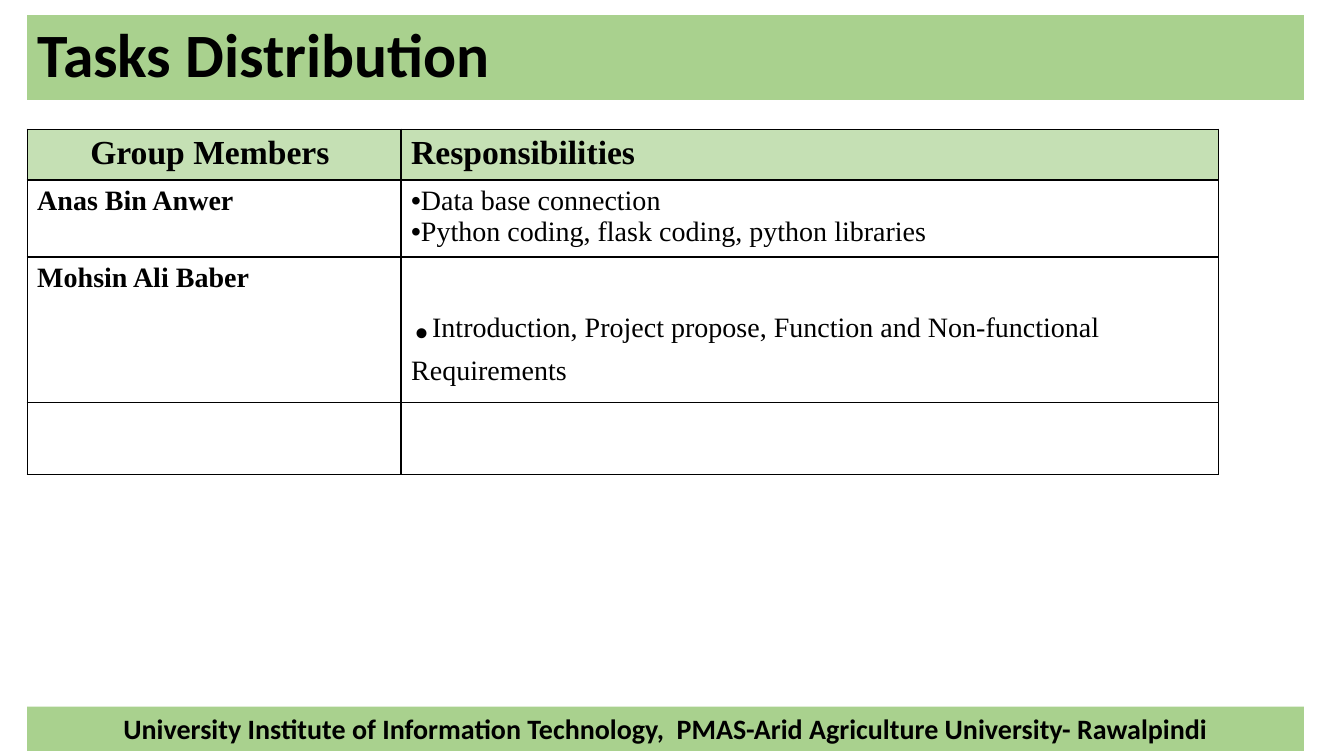
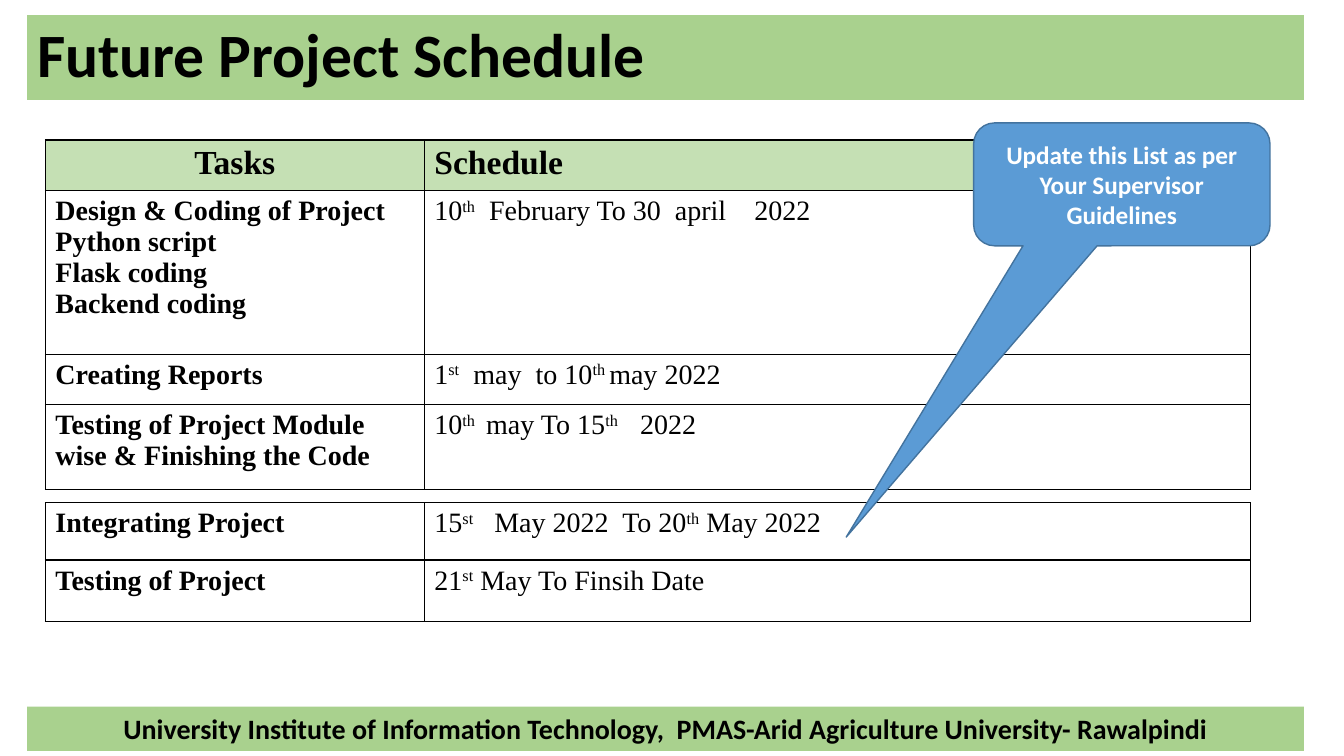
"""Build the task distribution and project schedule slides."""
from dataclasses import dataclass

from lxml.etree import SubElement
from pptx import Presentation
from pptx.dml.color import RGBColor
from pptx.enum.shapes import MSO_SHAPE as Preset
from pptx.enum.text import MSO_ANCHOR as Anchor, MSO_AUTO_SIZE as AutoSize, PP_ALIGN as Align
from pptx.oxml.ns import qn
from pptx.presentation import Presentation as Deck
from pptx.shapes.autoshape import Shape
from pptx.slide import Slide
from pptx.table import _Cell as Cell
from pptx.text.text import _Paragraph as Paragraph
from pptx.util import Pt

BLACK = RGBColor(0x00, 0x00, 0x00)
WHITE = RGBColor(0xFF, 0xFF, 0xFF)
BAND_GREEN = RGBColor(0xA9, 0xD1, 0x8E)
HEADER_GREEN = RGBColor(0xC5, 0xE0, 0xB4)
CALLOUT_BLUE = RGBColor(0x5B, 0x9B, 0xD5)
CALLOUT_EDGE = RGBColor(0x43, 0x73, 0x9E)

SANS = "Calibri"
SERIF = "Times New Roman"
BAND_LEFT, BAND_WIDTH = 19.4, 912
FOOTER = "University Institute of Information Technology,  PMAS-Arid Agriculture University- Rawalpindi"


@dataclass(frozen=True)
class Run:
    text: str
    size: float = 20
    bold: bool = False
    superscript: bool = False


@dataclass(frozen=True)
class Line:
    runs: tuple[Run, ...]
    centered: bool = False
    bullet: bool = False


@dataclass(frozen=True)
class Row:
    height: float
    cells: tuple[tuple[Line, ...], ...]
    header: bool = False


@dataclass(frozen=True)
class Grid:
    left: float
    top: float
    widths: tuple[float, ...]
    rows: tuple[Row, ...]


def header(height: float, first: str, second: str) -> Row:
    first_line = Line((Run(first, 24, True),), centered=True)
    return Row(height, ((first_line,), (Line((Run(second, 24, True),)),)), True)


def labels(*texts: str) -> tuple[Line, ...]:
    return tuple(Line((Run(text, bold=True),)) for text in texts)


def bullets(*texts: str) -> tuple[Line, ...]:
    return tuple(Line((Run(text),), bullet=True) for text in texts)


def dates(*parts: str) -> tuple[Line, ...]:
    return (Line(tuple(Run(part, superscript=index % 2 == 1) for index, part in enumerate(parts))),)


TASKS_GRID = Grid(19.4, 92.2, (267.1, 583.9), (
    header(36.4, "Group Members ", "Responsibilities"),
    Row(55, (labels("Anas Bin Anwer"),
             bullets("Data base connection", "Python coding, flask coding, python libraries"))),
    Row(104, (labels("Mohsin Ali Baber"), (Line((
        Run(".", 60),
        Run("Introduction, Project propose, Function and Non-functional Requirements"))),))),
    Row(51.2, ((), ())),
))

SCHEDULE_LEFT, SCHEDULE_WIDTHS = 32.4, (270.7, 590.2)
SCHEDULE_GRIDS = tuple(Grid(SCHEDULE_LEFT, top, SCHEDULE_WIDTHS, rows) for top, rows in (
    (100, (
        header(36, "Tasks", "Schedule"),
        Row(117, (labels("Design & Coding of Project", "Python script", "Flask coding", "Backend coding"),
                  dates("10", "th", "  February To 30  april    2022"))),
        Row(36, (labels("Creating Reports"), dates("1", "st", "  may  to 10", "th ", "may 2022"))),
        Row(60.5, (labels("Testing of Project Module wise & Finishing the Code"),
                   dates("10", "th ", " may To 15", "th  ", "  2022"))),
    )),
    (359, (Row(41, (labels("Integrating Project"),
                    dates("15", "st", "   May 2022  To 20", "th", " May 2022"))),)),
    (400, (Row(44.2, (labels("Testing of Project"), dates("21", "st", " May To Finsih Date"))),)),
))


def add_run(paragraph: Paragraph, content: Run, font_name: str, color: RGBColor = BLACK) -> None:
    run = paragraph.add_run()
    run.text = content.text
    run.font.name = font_name
    run.font.size = Pt(content.size)
    run.font.bold = content.bold
    run.font.color.rgb = color
    if content.superscript:
        run.font._element.set("baseline", "30000")


def add_bullet(paragraph: Paragraph) -> None:
    properties = paragraph._p.get_or_add_pPr()
    properties.set("marL", "0")
    properties.set("indent", "0")
    SubElement(properties, qn("a:buFont"), typeface="Arial")
    SubElement(properties, qn("a:buChar"), char="•")


def add_borders(cell: Cell) -> None:
    properties = cell._tc.get_or_add_tcPr()
    for side in ("L", "R", "T", "B"):
        border = SubElement(properties, qn(f"a:ln{side}"), w=str(Pt(1)))
        fill = SubElement(border, qn("a:solidFill"))
        SubElement(fill, qn("a:srgbClr"), val=str(BLACK))


def fill_cell(cell: Cell, lines: tuple[Line, ...], is_header: bool) -> None:
    add_borders(cell)
    if is_header:
        cell.fill.solid()
        cell.fill.fore_color.rgb = HEADER_GREEN
    else:
        cell.fill.background()
    for index, line in enumerate(lines):
        paragraph = cell.text_frame.add_paragraph() if index else cell.text_frame.paragraphs[0]
        paragraph.alignment = Align.CENTER if line.centered else Align.LEFT
        if line.bullet:
            add_bullet(paragraph)
        for run in line.runs:
            add_run(paragraph, run, SERIF)


def add_grid(slide: Slide, grid: Grid) -> None:
    table = slide.shapes.add_table(
        len(grid.rows), len(grid.widths), Pt(grid.left), Pt(grid.top),
        Pt(sum(grid.widths)), Pt(sum(row.height for row in grid.rows))).table
    table.first_row = table.horz_banding = False
    for column, width in zip(table.columns, grid.widths):
        column.width = Pt(width)
    for table_row, row in zip(table.rows, grid.rows):
        table_row.height = Pt(row.height)
        for cell, lines in zip(table_row.cells, row.cells):
            fill_cell(cell, lines, row.header)


def paint(shape: Shape, fill: RGBColor, edge: RGBColor | None = None) -> None:
    shape.fill.solid()
    shape.fill.fore_color.rgb = fill
    if edge is None:
        shape.line.fill.background()
    else:
        shape.line.color.rgb = edge
        shape.line.width = Pt(1)


def write(shape: Shape, content: Run, alignment: Align, color: RGBColor = BLACK) -> Paragraph:
    frame = shape.text_frame
    frame.word_wrap = True
    frame.auto_size = AutoSize.NONE
    frame.vertical_anchor = Anchor.MIDDLE
    paragraph = frame.paragraphs[0]
    paragraph.alignment = alignment
    add_run(paragraph, content, SANS, color)
    return paragraph


def add_titled_slide(presentation: Deck, heading: str) -> Slide:
    slide = presentation.slides.add_slide(presentation.slide_layouts[5])
    title = slide.shapes.title
    title.left, title.top, title.width, title.height = Pt(BAND_LEFT), Pt(10.8), Pt(BAND_WIDTH), Pt(60.5)
    paint(title, BAND_GREEN)
    write(title, Run(heading, 44, True), Align.LEFT).line_spacing = 0.9

    footer = slide.shapes.add_shape(Preset.RECTANGLE, Pt(BAND_LEFT), Pt(504.8), Pt(BAND_WIDTH), Pt(31.5))
    footer.shadow.inherit = False
    paint(footer, BAND_GREEN)
    write(footer, Run(FOOTER, 20, True), Align.CENTER)
    return slide


def add_callout(slide: Slide, text: str) -> None:
    callout = slide.shapes.add_shape(
        Preset.ROUNDED_RECTANGULAR_CALLOUT, Pt(695.5), Pt(87.8), Pt(211.7), Pt(87.8))
    callout.shadow.inherit = False
    for index, value in enumerate((-0.93, 2.87, 0.17)):
        callout.adjustments[index] = value
    paint(callout, CALLOUT_BLUE, CALLOUT_EDGE)
    write(callout, Run(text, 18, True), Align.CENTER, WHITE)


def main() -> None:
    presentation = Presentation()
    presentation.slide_width, presentation.slide_height = Pt(960), Pt(540)

    add_grid(add_titled_slide(presentation, "Tasks Distribution"), TASKS_GRID)

    schedule = add_titled_slide(presentation, "Future Project Schedule")
    for grid in SCHEDULE_GRIDS:
        add_grid(schedule, grid)
    add_callout(schedule, "Update this List as per Your Supervisor Guidelines")

    presentation.save("out.pptx")


if __name__ == "__main__":
    main()
